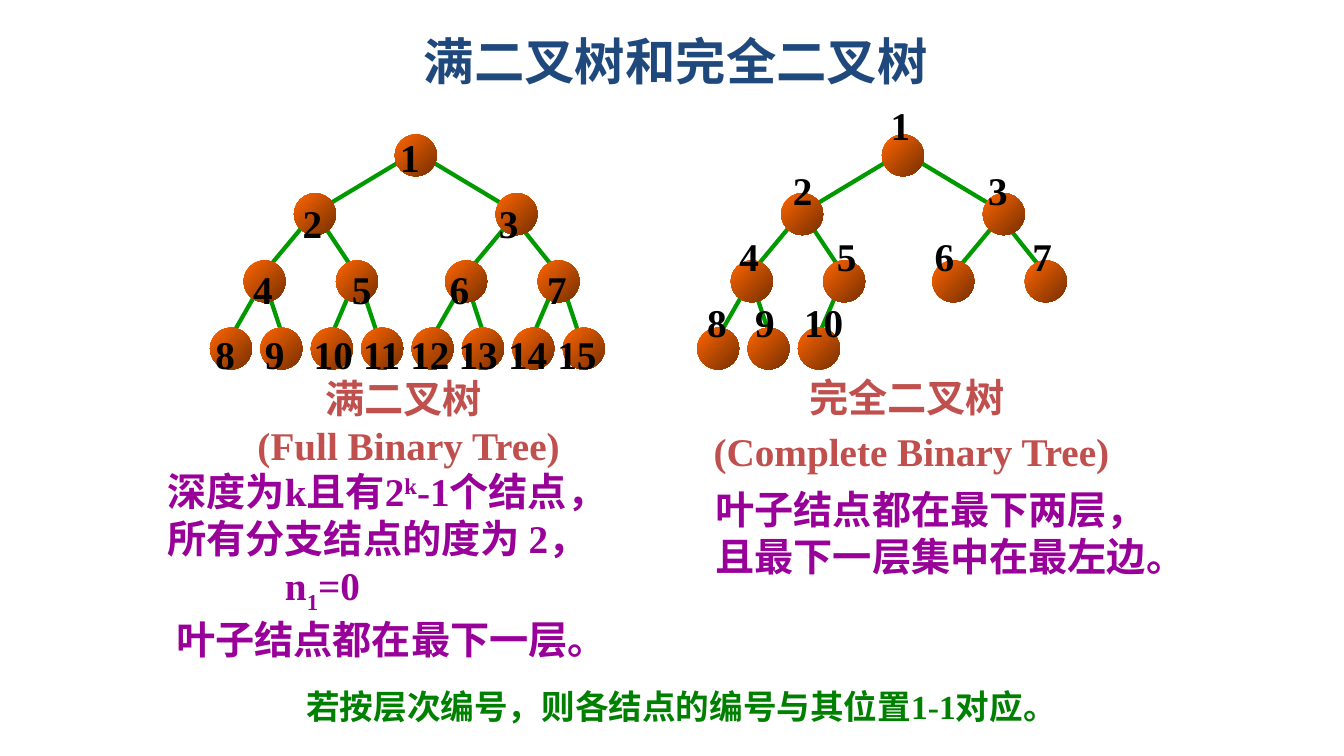
from dataclasses import dataclass

from lxml import etree
from pptx import Presentation
from pptx import util as u
from pptx.dml import color
from pptx.enum import shapes, text
from pptx.oxml import ns

PX = 9525
SIZE = 40
INSET = 10
FONT = "Times New Roman"
RED, BLUE, PURPLE = "C0504D", "1F497D", "990099"
GREEN, BLACK, EDGE = "008000", "000000", "009900"
SHIFT = {"^": "30000", "_": "-25000"}

# Top left corners of the nodes, in level order
NODES = [(376, 128), (280, 184), (472, 184)]
NODES += [(x, 248) for x in (232, 320, 424, 512)]
NODES += [(200 + 48 * i, 312) for i in range(8)]

# Edge from the parent to each node, starting with node 2
EDGES = [
    (384, 152, 304, 200), (408, 152, 488, 200),
    (288, 216, 248, 264), (304, 208, 336, 256),
    (488, 208, 448, 256), (496, 216, 528, 256),
    (248, 272, 216, 328), (256, 280, 272, 328),
    (336, 272, 312, 328), (344, 272, 360, 320),
    (440, 272, 408, 328), (448, 280, 464, 328),
    (528, 272, 504, 328), (536, 272, 552, 320),
]


@dataclass
class Box:
    x: int
    y: int
    w: int
    h: int


@dataclass
class Tree:
    count: int
    dx: int
    box: Box
    rows: list[list[int]]  # centre of each number, by level


@dataclass
class Note:
    box: Box
    lines: list[str]
    tint: str
    size: int = 28
    mid: bool = True
    wrap: bool = False
    gap: float = 1.0
    top: bool = False


FULL = Tree(15, 0, Box(187, 103, 409, 263), [
    [391], [298, 485], [251, 345, 438, 531],
    [215, 262, 318, 364, 410, 456, 503, 550]])
PART = Tree(10, 464, Box(664, 72, 352, 263), [
    [858], [765, 951], [714, 807, 900, 993], [683, 729, 785]])

HEAD = Note(Box(664, 344, 408, 113), ["完全二叉树 ", "(Complete Binary Tree)"],
            RED, wrap=True, gap=1.15, top=True)
RULE = Note(Box(150, 443, 472, 190),
            ["深度为k且有2|^k|-1个结点，", "所有分支结点的度为 2，",
             "n|_1|=0", " 叶子结点都在最下一层。"],
            PURPLE, mid=False, wrap=True)
NOTES = [
    Note(Box(226, 351, 317, 100), ["满二叉树", " (Full Binary Tree)"], RED),
    Note(Box(393, 24, 501, 67), ["满二叉树和完全二叉树"], BLUE, size=36),
    Note(Box(672, 457, 469, 100),
         ["叶子结点都在最下两层，", "且最下一层集中在最左边。"], PURPLE, mid=False),
    Note(Box(281, 648, 736, 48),
         ["若按层次编号，则各结点的编号与其位置1-1对应。"], GREEN, size=24),
]


def px(n: int) -> u.Emu:
    return u.Emu(n * PX)


def rgb(code: str) -> color.RGBColor:
    return color.RGBColor.from_string(code)


def style(font, tint: str, size: int) -> None:
    font.name, font.size, font.bold = FONT, u.Pt(size), True
    font.color.rgb = rgb(tint)


def frame(slide, box: Box, wrap: bool):
    """Add a text box and return its text frame."""
    shape = slide.shapes.add_textbox(px(box.x), px(box.y), px(box.w), px(box.h))
    body = shape.text_frame
    body.word_wrap = wrap
    body.vertical_anchor = text.MSO_ANCHOR.MIDDLE
    return body


def write(slide, note: Note):
    """Place a note; a piece after | that starts with ^ or _ is raised or lowered."""
    body = frame(slide, note.box, note.wrap)
    body.auto_size = text.MSO_AUTO_SIZE.SHAPE_TO_FIT_TEXT
    if note.top:
        body.vertical_anchor = text.MSO_ANCHOR.TOP
    for i, line in enumerate(note.lines):
        para = body.paragraphs[0] if i == 0 else body.add_paragraph()
        para.alignment = text.PP_ALIGN.CENTER if note.mid else text.PP_ALIGN.LEFT
        para.line_spacing = note.gap
        for part in line.split("|"):
            run = para.add_run()
            run.text = part.lstrip("^_")
            style(run.font, note.tint, note.size)
            if part[0] in SHIFT:
                run._r.get_or_add_rPr().set("baseline", SHIFT[part[0]])
    return body


def draw(slide, tree: Tree) -> None:
    group = slide.shapes.add_group_shape().shapes
    for x1, y1, x2, y2 in EDGES[:tree.count - 1]:
        edge = group.add_connector(
            shapes.MSO_CONNECTOR.STRAIGHT,
            px(x1 + tree.dx), px(y1), px(x2 + tree.dx), px(y2))
        edge.line.color.rgb = rgb(EDGE)
        edge.line.width = u.Pt(3)
        etree.SubElement(edge._element.spPr, ns.qn("a:effectLst"))
    for x, y in NODES[:tree.count]:
        node = group.add_shape(shapes.MSO_SHAPE.OVAL,
                               px(x + tree.dx), px(y), px(SIZE), px(SIZE))
        node.shadow.inherit = False
        node.line.fill.background()
        node.fill.gradient()
        node.fill.gradient_angle = 315
        for stop, tint in zip(node.fill.gradient_stops, ("FF6600", "762F00")):
            stop.color.rgb = rgb(tint)


def number(slide, tree: Tree) -> None:
    """Write the node numbers, one level a line, on centred tab stops."""
    body = frame(slide, tree.box, True)
    first = 1
    for i, row in enumerate(tree.rows):
        para = body.paragraphs[0] if i == 0 else body.add_paragraph()
        para.text = "".join(f"\t{first + k}" for k in range(len(row)))
        first += len(row)
        para.line_spacing = u.Pt(47)
        tabs = etree.SubElement(para._p.get_or_add_pPr(), ns.qn("a:tabLst"))
        for x in row:
            pos = px(x - tree.box.x - INSET)
            etree.SubElement(tabs, ns.qn("a:tab"), pos=str(pos), algn="ctr")
        style(para.runs[0].font, BLACK, 28)


def main() -> None:
    deck = Presentation()
    deck.slide_width, deck.slide_height = px(1280), px(720)
    slide = deck.slides.add_slide(deck.slide_layouts[6])
    write(slide, HEAD)
    draw(slide, PART)
    draw(slide, FULL)
    rule = write(slide, RULE)
    rule.paragraphs[2]._p.get_or_add_pPr().set("marL", str(px(112)))
    for note in NOTES:
        write(slide, note)
    for tree in (FULL, PART):
        number(slide, tree)
    deck.save("out.pptx")


if __name__ == "__main__":
    main()
